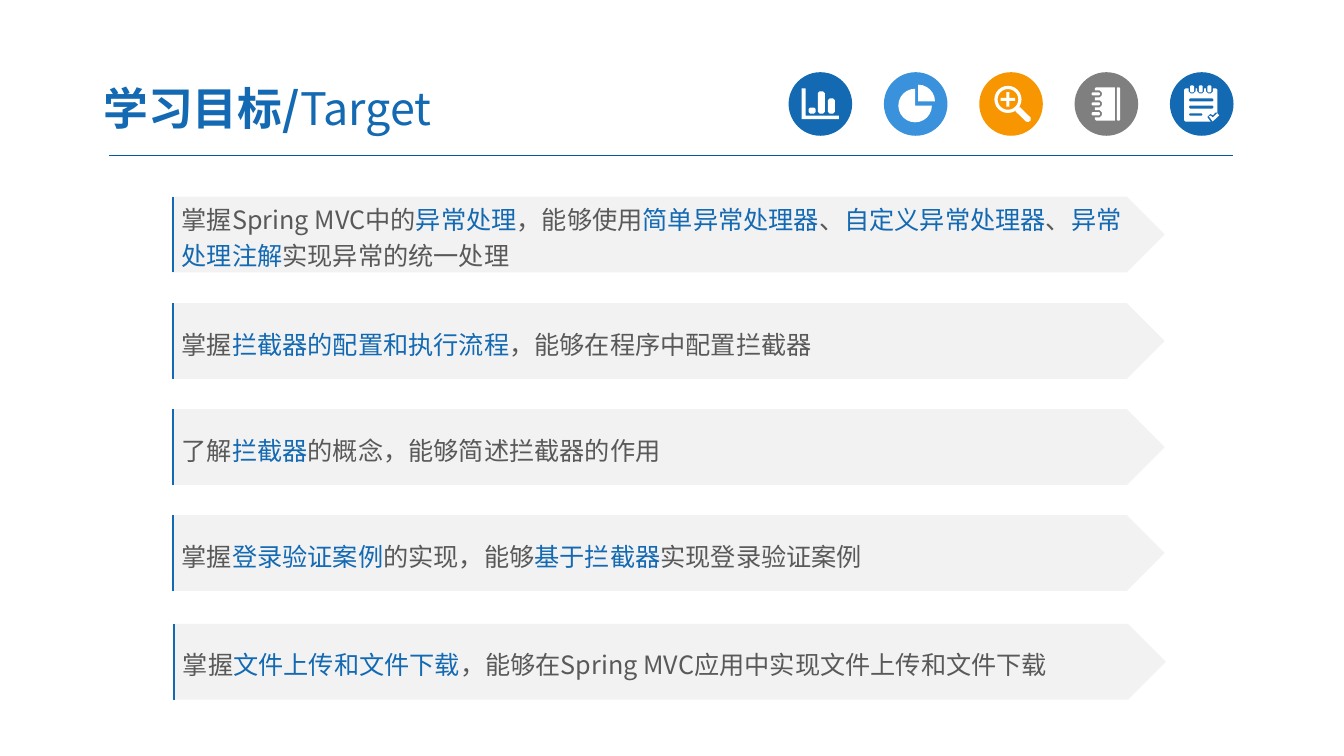
"""Build the learning targets slide with its icon row and five arrow banners."""
from math import cos, radians, sin

from lxml import etree
from pptx import Presentation
from pptx.dml.color import RGBColor
from pptx.enum import shapes, text
from pptx.oxml.ns import qn
from pptx.util import Pt

COLOURS = {
    "blue": "1369B2", "sky": "3992DB", "orange": "F79600", "grey": "7F7F7F",
    "rule": "005B9E", "banner": "F2F2F2", "body": "595959", "white": "FFFFFF",
}
FONT = "Noto Sans CJK SC"
ICON_LEFT, ICON_TOP, ICON_SIZE, ICON_PITCH = 563.3, 51.6, 45.4, 68.1
BANNER_WIDTH, BANNER_HEIGHT = 709.2, 54.1
TARGETS = [
    (122.7, 140.4, "掌握Spring MVC中的|异常处理|，能够使用|简单异常处理器|、|自定义异常处理器|、|异常处理注解|实现异常的统一处理"),
    (122.7, 216.5, "掌握|拦截器的配置和执行流程|，能够在程序中配置拦截器"),
    (122.7, 292.3, "了解|拦截器|的概念，能够简述拦截器的作用"),
    (122.7, 368, "掌握|登录验证案例|的实现，能够|基于拦截器|实现登录验证案例"),
    (123.6, 445.6, "掌握|文件上传和文件下载|，能够在Spring MVC应用中实现文件上传和文件下载"),
]


def rgb(name):
    return RGBColor.from_string(COLOURS[name])


def paint(shape, colour):
    shape.shadow.inherit = False
    shape.fill.solid()
    shape.fill.fore_color.rgb = rgb(colour)
    shape.line.fill.background()


def add_filled(slide, preset, box, colour):
    shape = slide.shapes.add_shape(preset, *[Pt(value) for value in box])
    paint(shape, colour)
    return shape


def add_rule(slide):
    ends = [Pt(value) for value in (78, 111.3, 880.6, 111.3)]
    rule = slide.shapes.add_connector(shapes.MSO_CONNECTOR.STRAIGHT, *ends)
    rule.line.color.rgb = rgb("rule")
    rule.line.width = Pt(0.75)
    etree.SubElement(rule._element.spPr, qn("a:effectLst"))


def add_run(paragraph, content, size, colour, bold=False):
    run = paragraph.add_run()
    run.text = content
    run.font.size = Pt(size)
    run.font.bold = bold
    run.font.name = FONT
    run.font.color.rgb = rgb(colour)
    etree.SubElement(run._r.get_or_add_rPr(), qn("a:ea"), typeface=FONT)


def add_title(slide):
    title = slide.shapes.title
    title.left, title.top, title.width, title.height = Pt(64.4), Pt(50.6), Pt(376), Pt(51.8)
    frame = title.text_frame
    frame.auto_size = text.MSO_AUTO_SIZE.NONE
    frame.vertical_anchor = text.MSO_ANCHOR.MIDDLE
    frame.margin_left = frame.margin_right = Pt(9.4)
    frame.margin_top = frame.margin_bottom = Pt(5)
    paragraph = frame.paragraphs[0]
    paragraph.alignment = text.PP_ALIGN.LEFT
    add_run(paragraph, "学习目标/", 32, "blue", bold=True)
    add_run(paragraph, "Target", 32, "blue")


def block(x, y, width, height):
    cut = min(width, height) * 0.25
    right, bottom = x + width, y + height
    return [
        (x + cut, y), (right - cut, y), (right, y + cut), (right, bottom - cut),
        (right - cut, bottom), (x + cut, bottom), (x, bottom - cut), (x, y + cut),
    ]


def arc(x, y, radius, start=0, end=345):
    angles = [radians(angle) for angle in range(start, end + 1, 15)]
    return [(x + radius * cos(angle), y + radius * sin(angle)) for angle in angles]


def chart_glyph():
    axes = [(9.4, 11.5), (12.2, 11.5), (12.2, 31), (36, 31), (36, 33.4), (9.4, 33.4)]
    return [axes, block(14.4, 25.2, 5, 4.3), block(20.9, 13.7, 5, 15.8),
            block(28.1, 18.7, 5, 10.8)]


def pie_glyph():
    return [[(22.3, 23.8)] + arc(22.3, 23.8, 12, 0, 270),
            [(24.5, 20.9)] + arc(24.5, 20.9, 12, 270, 360)]


def magnifier_glyph():
    near, far, middle = 1.1, 5.2, (20.5, 19.4)
    corners = [(-near, -far), (near, -far), (near, -near), (far, -near), (far, near), (near, near)]
    corners += [(-x, -y) for x, y in corners]
    plus = [(middle[0] + x, middle[1] + y) for x, y in corners]
    handle = [(25.9, 27.9), (29, 24.8), (36.7, 32.4), (36.7, 34.4), (35.3, 35.4), (33.5, 35.3)]
    return [arc(*middle, 9.7), arc(*middle, 7.4), plus, handle]


def notebook_glyph():
    cover = [(28.8, 34.6), (28.8, 10.8), (15.4, 10.8), (14.4, 11.5)]
    rings = []
    for ring in range(3):
        y = 13 + 7.1 * ring
        cover += [(14.4, y), (18, y), (19.4, y + 1.4), (19.4, y + 3.6), (18, y + 5), (14.4, y + 5)]
        rings.append(block(12.2, y + 1.4, 5.8, 2.2))
    cover += [(14.4, 33.6), (15.4, 34.6)]
    return [cover, block(30.2, 10.8, 2.2, 23.8)] + rings


def notepad_glyph():
    pad = [(10.1, 34.3), (10.1, 12.5), (11.1, 11.5)]
    rings = []
    for ring in range(3):
        x = 13.3 + 6.2 * ring
        pad += [(x, 11.5), (x, 13.7), (x + 1.4, 15.1), (x + 3.6, 15.1), (x + 5, 13.7), (x + 5, 11.5)]
        rings.append(block(x + 1.1, 9.4, 2.8, 5))
    pad += [(32.9, 11.5), (33.9, 12.5), (33.9, 28.8), (32.4, 28.8), (30.7, 30.8),
            (28.8, 29.7), (26.6, 31.9), (29, 35.3), (11.1, 35.3)]
    tick = [(27.8, 31.5), (30.5, 35.2), (35.2, 30.8), (33.8, 29.3), (30.5, 32.4), (29.2, 31)]
    lines = [block(13.7, 18.7, 17.3, 2.2), block(13.7, 23.8, 17.3, 2.2), block(13.7, 29.5, 9.4, 1.5)]
    return [pad, tick] + lines + rings


def add_icon(slide, position, colour, outlines):
    left = ICON_LEFT + position * ICON_PITCH
    add_filled(slide, shapes.MSO_SHAPE.OVAL, (left, ICON_TOP, ICON_SIZE, ICON_SIZE), colour)
    builder = None
    for outline in outlines:
        points = [(Pt(left + x), Pt(ICON_TOP + y)) for x, y in outline]
        if builder is None:
            builder = slide.shapes.build_freeform(*points[0])
        else:
            builder.move_to(*points[0])
        builder.add_line_segments(points[1:], close=True)
    paint(builder.convert_to_shape(), "white")


def add_edge(slide, left, top):
    builder = slide.shapes.build_freeform(Pt(left + 9.4), Pt(top))
    builder.move_to(Pt(left), Pt(top + BANNER_HEIGHT))
    builder.add_line_segments([(Pt(left), Pt(top))], close=False)
    edge = builder.convert_to_shape()
    edge.shadow.inherit = False
    edge.fill.background()
    edge.line.color.rgb = rgb("blue")
    edge.line.width = Pt(1.5)


def add_target(slide, left, top, content):
    box = (left, top, BANNER_WIDTH, BANNER_HEIGHT)
    banner = add_filled(slide, shapes.MSO_SHAPE.PENTAGON, box, "banner")
    frame = banner.text_frame
    frame.word_wrap = True
    frame.vertical_anchor = text.MSO_ANCHOR.MIDDLE
    paragraph = frame.paragraphs[0]
    paragraph.alignment = text.PP_ALIGN.LEFT
    paragraph.line_spacing = 1.2
    for index, part in enumerate(content.split("|")):
        add_run(paragraph, part, 18, "blue" if index % 2 else "body")
    add_edge(slide, left + 0.7, top)


def main():
    presentation = Presentation()
    presentation.slide_width, presentation.slide_height = Pt(960), Pt(540)
    slide = presentation.slides.add_slide(presentation.slide_layouts[5])
    add_title(slide)
    add_rule(slide)
    icons = [("blue", chart_glyph), ("sky", pie_glyph), ("orange", magnifier_glyph),
             ("grey", notebook_glyph), ("blue", notepad_glyph)]
    for position, (colour, glyph) in enumerate(icons):
        add_icon(slide, position, colour, glyph())
    for left, top, content in TARGETS:
        add_target(slide, left, top, content)
    presentation.save("out.pptx")


if __name__ == "__main__":
    main()
